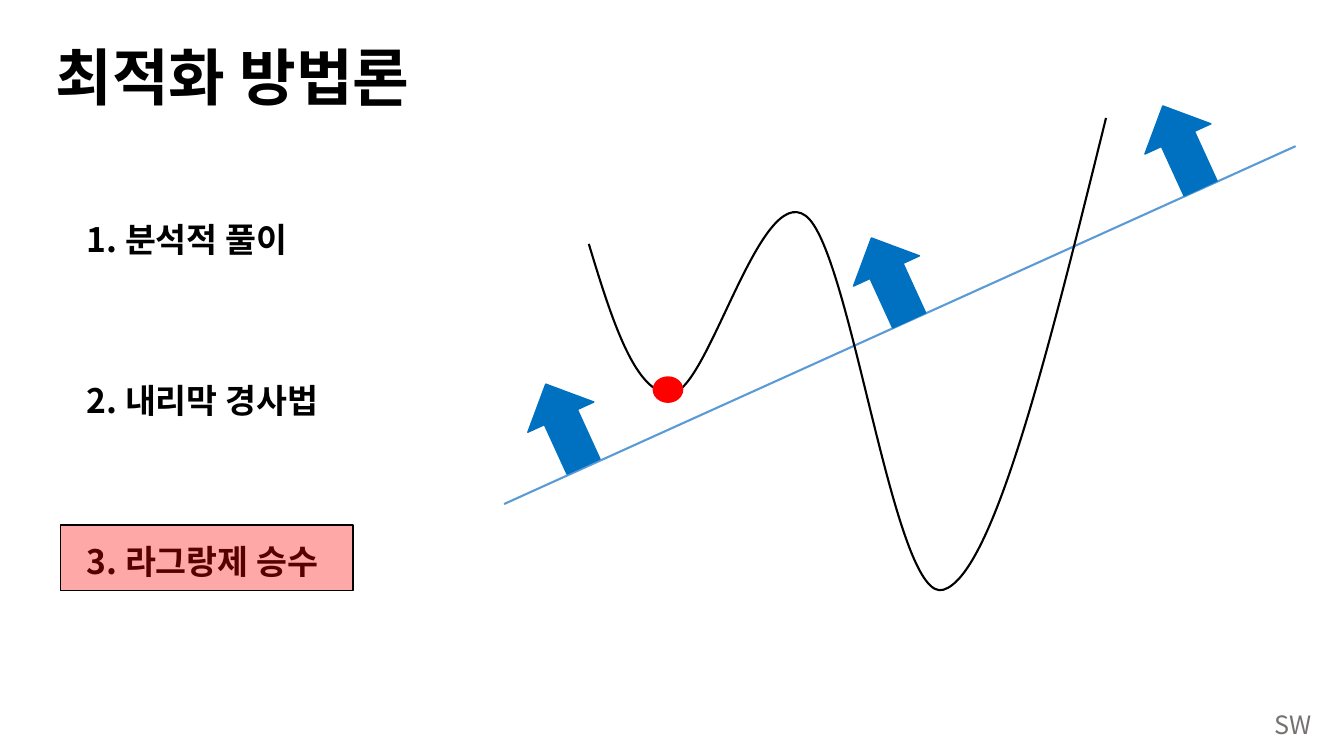
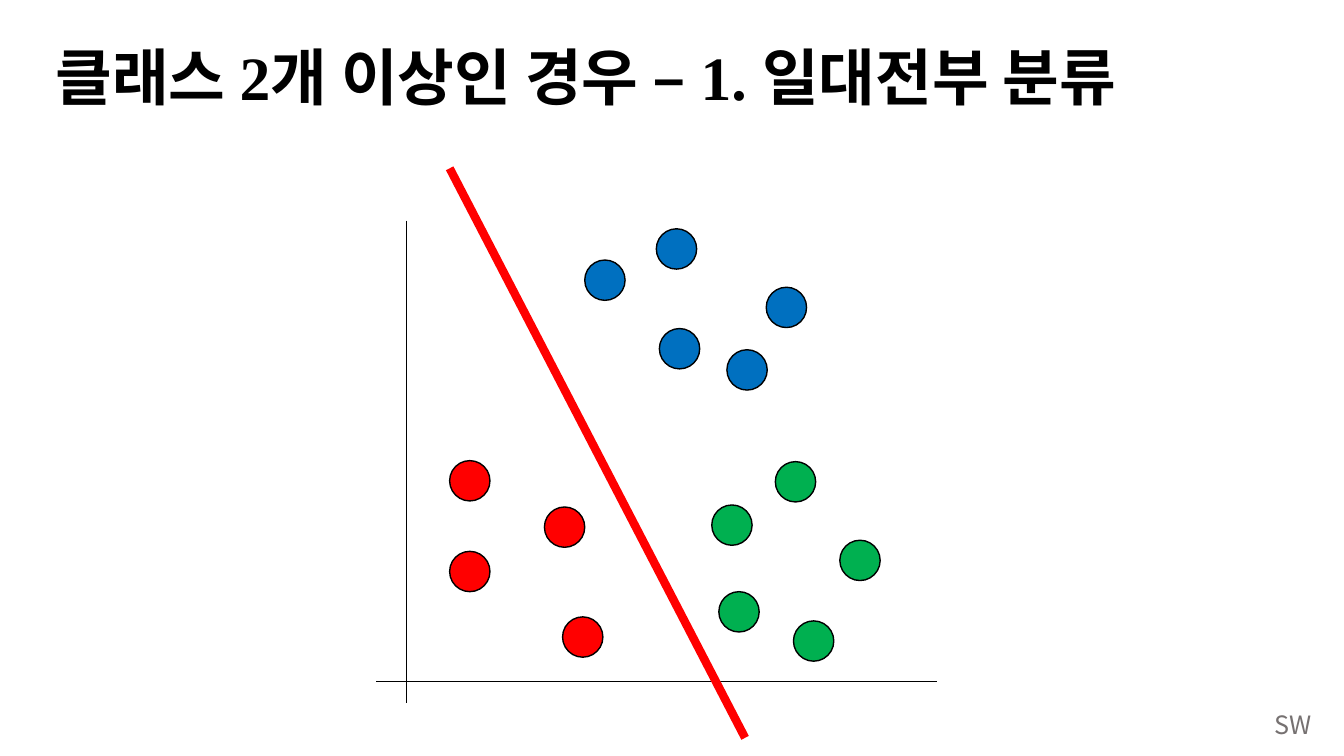
from dataclasses import dataclass

from lxml.etree import SubElement
from pptx import Presentation
from pptx.dml.color import RGBColor
from pptx.enum.shapes import MSO_CONNECTOR as Connector, MSO_SHAPE as Preset
from pptx.enum.text import MSO_ANCHOR as Anchor, MSO_AUTO_SIZE as AutoSize, PP_ALIGN as Align
from pptx.oxml.ns import qn
from pptx.util import Pt

PX = 9144


@dataclass(frozen=True)
class Theme:
    black: str = "000000"
    gray: str = "767171"
    red: str = "FF0000"
    blue: str = "0070C0"
    light_blue: str = "5B9BD5"
    green: str = "00B050"
    title_font: str = "Times New Roman"
    body_font: str = "Noto Sans CJK KR"
    title_size: int = 44
    list_size: int = 24
    footer_size: int = 18


THEME = Theme()
TITLE_ONLY, TITLE_AND_BODY = 5, 1

FOOTER = ("SW", (1254, 699, 58, 40))
METHODS = ("최적화 방법론", (45, 7, 1150, 145))
CLASSES = ("클래스 2개 이상인 경우 – 1. 일대전부 분류", (45, 7, 1226, 145))

METHOD_LIST = ["1. 분석적 풀이", "2. 내리막 경사법", "3. 라그랑제 승수"]
LIST_BOX = (76, 212, 274, 374)
LIST_LINE, LIST_GAP = 28.8, 86.4
HIGHLIGHT_BOX = (60, 521, 290, 65)
HIGHLIGHT_OPACITY = 34

CONSTRAINT = ((500, 500), (1285, 145))
CURVE_START = (584, 242)
CURVE_BENDS = [
    ((607, 318), (631, 394), (667, 390)),
    ((703, 385), (754, 181), (799, 214)),
    ((844, 246), (887, 602), (936, 585)),
    ((986, 569), (1041, 343), (1097, 117)),
]
LOCAL_MINIMUM = (648, 374, 29, 25)
ARROWS = [(524, 377), (847, 232), (1136, 101)]
ARROW_SIZE, ARROW_TURN = (72, 90), 155.4

AXES = [((403, 219), (403, 697)), ((373, 676), (929, 676))]
BOUNDARY = ((446, 167), (739, 732))
DOT = 40
CLUSTERS = {
    THEME.red: [(446, 457), (446, 547), (540, 503), (558, 612)],
    THEME.blue: [(580, 258), (651, 227), (654, 326), (760, 285), (721, 347)],
    THEME.green: [(706, 501), (713, 587), (833, 536), (769, 458), (787, 616)],
}


def emu(values):
    return [round(value * PX) for value in values]


def place(shape, box):
    shape.left, shape.top, shape.width, shape.height = emu(box)


def write(paragraph, text, *, size, font=THEME.body_font, color=THEME.black,
          bold=False, spacing=None, after=0):
    paragraph.alignment = Align.LEFT
    paragraph.space_before, paragraph.space_after = Pt(0), Pt(after)
    paragraph.line_spacing = spacing
    run = paragraph.add_run()
    run.text = text
    run.font.size, run.font.name, run.font.bold = Pt(size), font, bold
    run.font.color.rgb = RGBColor.from_string(color)


def remove_bullet(paragraph):
    properties = paragraph._p.get_or_add_pPr()
    properties.set("marL", "0")
    properties.set("indent", "0")
    SubElement(properties, qn("a:buNone"))


def stroke(shape, color, width):
    shape.line.color.rgb = RGBColor.from_string(color)
    shape.line.width = Pt(width)


def add_line(slide, ends, color, width):
    start, end = ends
    line = slide.shapes.add_connector(Connector.STRAIGHT, *emu(start), *emu(end))
    stroke(line, color, width)
    SubElement(line._element.spPr, qn("a:effectLst"))


def add_preset(slide, preset, box, fill, outline, opacity=100, turn=0):
    shape = slide.shapes.add_shape(preset, *emu(box))
    shape.shadow.inherit = False
    shape.rotation = turn
    shape.fill.solid()
    shape.fill.fore_color.rgb = RGBColor.from_string(fill)
    stroke(shape, outline, 1)
    if opacity < 100:
        color = shape._element.spPr.find(qn("a:solidFill"))[0]
        SubElement(color, qn("a:alpha")).set("val", str(opacity * 1000))


def add_curve(slide):
    builder = slide.shapes.build_freeform(*emu(CURVE_START))
    builder.add_line_segments([emu(bend[-1]) for bend in CURVE_BENDS], close=False)
    curve = builder.convert_to_shape()
    outline = next(curve._element.iter(qn("a:path")))
    for segment in outline.findall(qn("a:lnTo")):
        outline.remove(segment)
    for bend in CURVE_BENDS:
        segment = SubElement(outline, qn("a:cubicBezTo"))
        for point in bend:
            x, y = emu(point)
            corner = SubElement(segment, qn("a:pt"))
            corner.set("x", str(x - curve.left))
            corner.set("y", str(y - curve.top))
    curve.shadow.inherit = False
    curve.fill.background()
    stroke(curve, THEME.black, 1.5)


def add_slide(presentation, layout, heading):
    text, box = heading
    slide = presentation.slides.add_slide(presentation.slide_layouts[layout])
    title = slide.shapes.title
    place(title, box)
    frame = title.text_frame
    frame.vertical_anchor, frame.auto_size = Anchor.MIDDLE, AutoSize.NONE
    write(frame.paragraphs[0], text, size=THEME.title_size, font=THEME.title_font,
          bold=True, spacing=0.9)
    return slide


def add_master_footer(presentation, slide):
    text, box = FOOTER
    footer = slide.shapes.add_textbox(*emu(box))
    footer.text_frame.word_wrap = False
    write(footer.text_frame.paragraphs[0], text, size=THEME.footer_size, color=THEME.gray)
    presentation.slide_master.element.cSld.spTree.append(footer.element)


def fill_list(body):
    place(body, LIST_BOX)
    frame = body.text_frame
    frame.word_wrap = False
    frame.vertical_anchor, frame.auto_size = Anchor.TOP, AutoSize.NONE
    for index, method in enumerate(METHOD_LIST):
        paragraph = frame.add_paragraph() if index else frame.paragraphs[0]
        write(paragraph, method, size=THEME.list_size, bold=True,
              spacing=Pt(LIST_LINE), after=LIST_GAP)
        remove_bullet(paragraph)


def build_methods(presentation):
    slide = add_slide(presentation, TITLE_AND_BODY, METHODS)
    add_master_footer(presentation, slide)
    fill_list(slide.placeholders[1])
    add_preset(slide, Preset.RECTANGLE, HIGHLIGHT_BOX, THEME.red, THEME.black,
               opacity=HIGHLIGHT_OPACITY)
    add_line(slide, CONSTRAINT, THEME.light_blue, 1.5)
    add_curve(slide)
    add_preset(slide, Preset.OVAL, LOCAL_MINIMUM, THEME.red, THEME.red)
    for corner in ARROWS:
        add_preset(slide, Preset.DOWN_ARROW, corner + ARROW_SIZE, THEME.blue, THEME.blue,
                   turn=ARROW_TURN)


def build_classes(presentation):
    slide = add_slide(presentation, TITLE_ONLY, CLASSES)
    for axis in AXES:
        add_line(slide, axis, THEME.black, 0.5)
    for color, corners in CLUSTERS.items():
        for corner in corners:
            add_preset(slide, Preset.OVAL, corner + (DOT, DOT), color, THEME.black)
    add_line(slide, BOUNDARY, THEME.red, 6)


def main():
    presentation = Presentation()
    presentation.slide_width, presentation.slide_height = emu((1333, 750))
    build_methods(presentation)
    build_classes(presentation)
    presentation.save("out.pptx")


if __name__ == "__main__":
    main()
